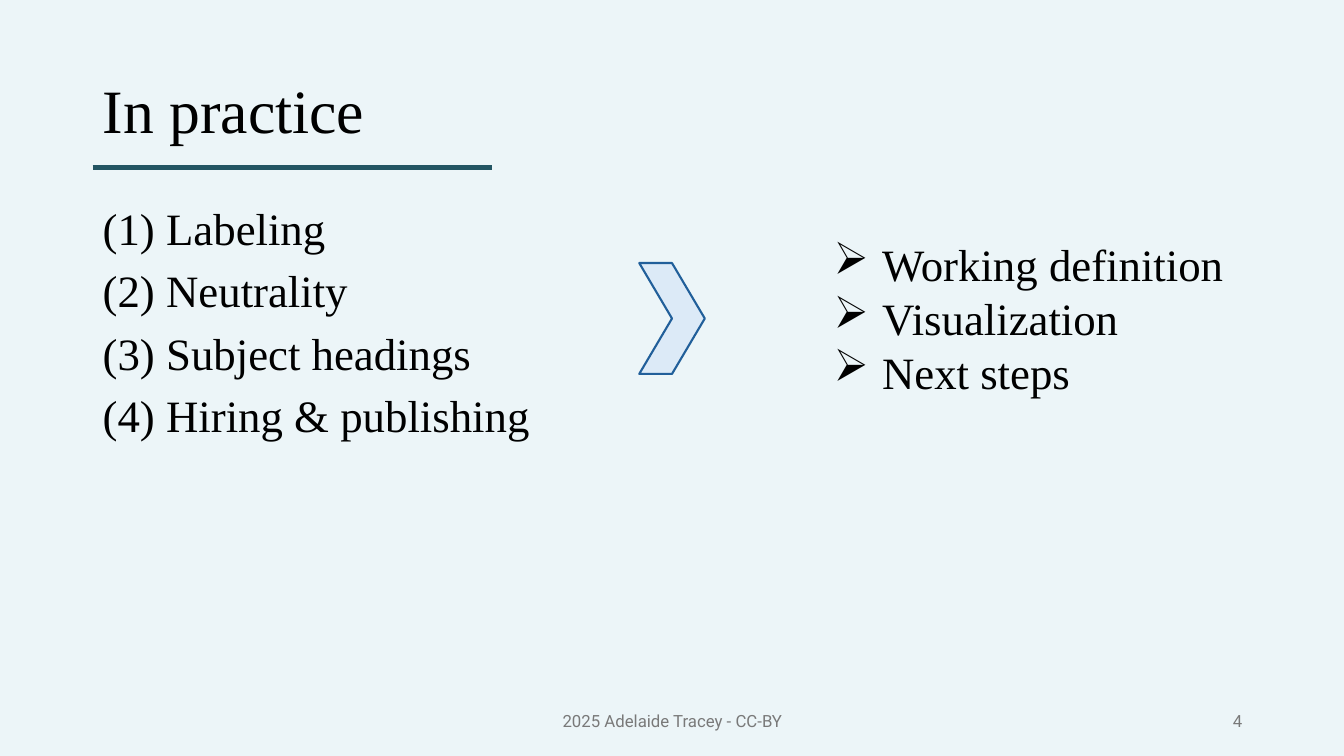
from dataclasses import dataclass

from lxml.etree import SubElement
from pptx import Presentation
from pptx.dml.color import RGBColor
from pptx.enum.shapes import MSO_CONNECTOR as Connector, MSO_SHAPE as Preset
from pptx.enum.text import MSO_ANCHOR as Anchor, PP_ALIGN as Align
from pptx.oxml.ns import qn
from pptx.slide import Slide
from pptx.util import Inches, Pt

SERIF = "Times New Roman"
SANS = "Roboto"
BLACK = "000000"
GRAY = "797979"
BULLET_INDENT = 0.48


@dataclass(frozen=True)
class TextBlock:
    left: float
    top: float
    width: float
    height: float
    lines: tuple[str, ...]
    size: float
    font: str = SERIF
    color: str = BLACK
    anchor: Anchor = Anchor.TOP
    align: Align = Align.LEFT
    line_spacing: float = 1.0
    space_before: float = 0
    bullet: str = ""


TEXT_BLOCKS = (
    TextBlock(0.92, 0.4, 11.5, 1.45, ("In practice",), 44,
              anchor=Anchor.MIDDLE, line_spacing=0.9),
    TextBlock(0.92, 2, 11.5, 4.76,
              ("(1) Labeling", "(2) Neutrality", "(3) Subject headings",
               "(4) Hiring & publishing"),
              32, line_spacing=0.9, space_before=10),
    TextBlock(4.42, 6.95, 4.5, 0.4, ("2025 Adelaide Tracey - CC-BY",), 12,
              SANS, GRAY, Anchor.MIDDLE, Align.CENTER),
    TextBlock(9.42, 6.95, 3, 0.4, ("4",), 12,
              SANS, GRAY, Anchor.MIDDLE, Align.RIGHT),
    TextBlock(8.17, 2.3, 4.38, 1.72,
              ("Working definition", "Visualization", "Next steps"),
              32, bullet="➢"),
)


def rgb(color: str) -> RGBColor:
    return RGBColor.from_string(color)


def add_bullet(paragraph, character: str) -> None:
    properties = paragraph._p.get_or_add_pPr()
    indent = Inches(BULLET_INDENT)
    properties.set("marL", str(indent))
    properties.set("indent", str(-indent))
    SubElement(properties, qn("a:buChar"), char=character)


def add_text(slide: Slide, block: TextBlock) -> None:
    shape = slide.shapes.add_textbox(
        Inches(block.left), Inches(block.top),
        Inches(block.width), Inches(block.height))
    frame = shape.text_frame
    frame.word_wrap = True
    frame.vertical_anchor = block.anchor
    for index, line in enumerate(block.lines):
        paragraph = frame.add_paragraph() if index else frame.paragraphs[0]
        paragraph.alignment = block.align
        paragraph.line_spacing = block.line_spacing
        paragraph.space_before = Pt(block.space_before)
        if block.bullet:
            add_bullet(paragraph, block.bullet)
        run = paragraph.add_run()
        run.text = line
        run.font.name = block.font
        run.font.size = Pt(block.size)
        run.font.color.rgb = rgb(block.color)


def add_chevron(slide: Slide) -> None:
    shape = slide.shapes.add_shape(
        Preset.CHEVRON, Inches(6.34), Inches(2.61), Inches(0.65), Inches(1.1))
    shape.shadow.inherit = False
    shape.fill.solid()
    shape.fill.fore_color.rgb = rgb("DCEAF7")
    shape.line.color.rgb = rgb("215F9A")
    shape.line.width = Pt(1.5)


def add_title_rule(slide: Slide) -> None:
    rule = slide.shapes.add_connector(
        Connector.STRAIGHT, Inches(0.92), Inches(1.66), Inches(4.88), Inches(1.66))
    rule.line.color.rgb = rgb("235563")
    rule.line.width = Pt(4)
    SubElement(rule._element.spPr, qn("a:effectLst"))


def main() -> None:
    presentation = Presentation()
    presentation.slide_width = Inches(13.33)
    presentation.slide_height = Inches(7.5)
    slide = presentation.slides.add_slide(presentation.slide_layouts[6])
    slide.background.fill.solid()
    slide.background.fill.fore_color.rgb = rgb("ECF5F8")
    for block in TEXT_BLOCKS:
        add_text(slide, block)
    add_chevron(slide)
    add_title_rule(slide)
    presentation.save("out.pptx")


if __name__ == "__main__":
    main()
